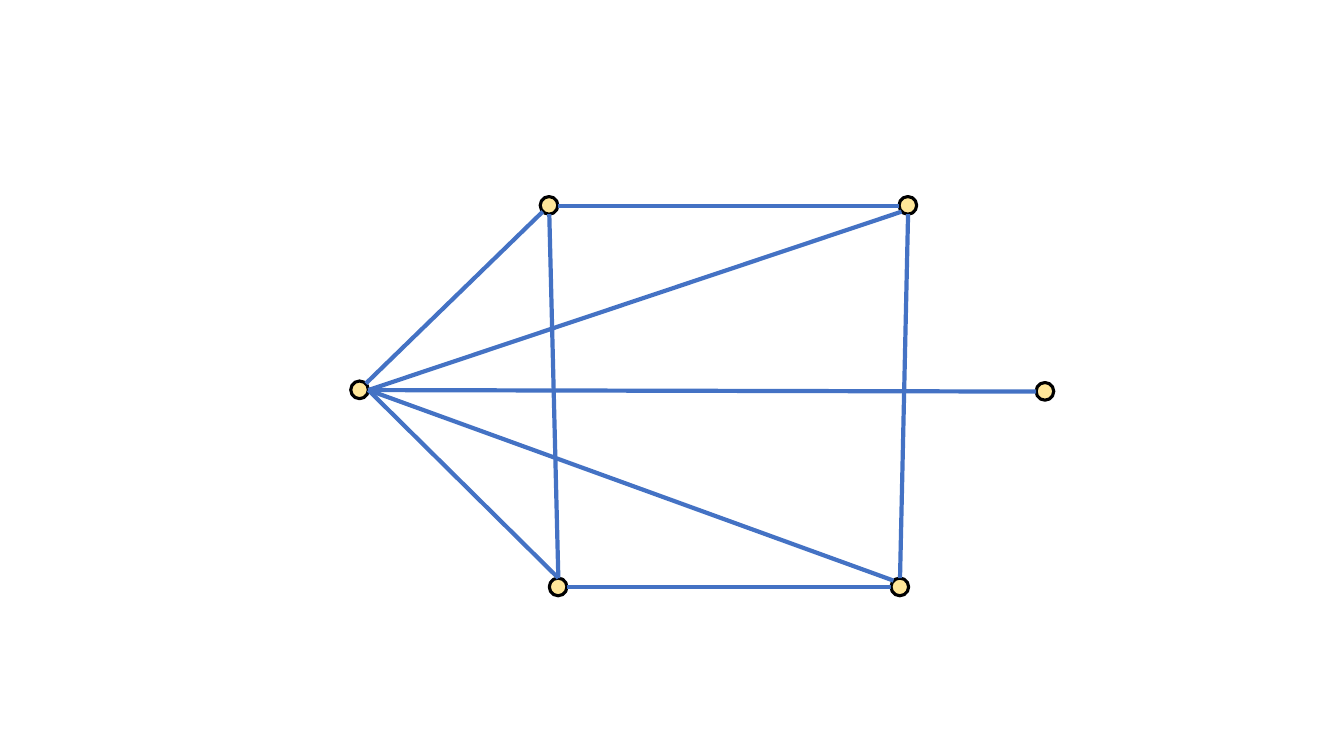
"""Draw a graph of six vertices joined by nine edges."""
import dataclasses
import enum
import typing

import pptx
import pptx.dml.color
import pptx.enum.shapes
import pptx.oxml.ns
import pptx.slide
import pptx.util
import lxml.etree

PIXEL = 4572
PAGE_SIZE = (2667, 1500)
DIAMETER = 35
VERTEX_LINE = {"width": pptx.util.Pt(2.25)}
EDGE_LINE = {"width": pptx.util.Pt(3)}


class Site(enum.Enum):
    TOP = (0.5, 0)
    TOP_LEFT = (0.15, 0.15)
    LEFT = (0, 0.5)
    BOTTOM_LEFT = (0.15, 0.85)
    BOTTOM = (0.5, 1)
    RIGHT = (1, 0.5)
    TOP_RIGHT = (0.85, 0.15)


@dataclasses.dataclass(frozen=True)
class Vertex:
    left: int
    top: int

    def point(self, site: Site) -> tuple[int, int]:
        across, down = site.value
        return (px(self.left + round(across * DIAMETER)),
                px(self.top + round(down * DIAMETER)))


@dataclasses.dataclass(frozen=True)
class Edge:
    start: Vertex
    start_site: Site
    end: Vertex
    end_site: Site


HUB = Vertex(696, 756)
LOWER_LEFT = Vertex(1090, 1147)
UPPER_LEFT = Vertex(1072, 390)
LOWER_RIGHT = Vertex(1768, 1147)
UPPER_RIGHT = Vertex(1784, 390)
TIP = Vertex(2056, 759)
VERTICES = (HUB, LOWER_LEFT, UPPER_LEFT, LOWER_RIGHT, UPPER_RIGHT, TIP)
EDGES = (
    Edge(HUB, Site.TOP_RIGHT, UPPER_LEFT, Site.BOTTOM_LEFT),
    Edge(HUB, Site.RIGHT, UPPER_RIGHT, Site.BOTTOM_LEFT),
    Edge(UPPER_LEFT, Site.RIGHT, UPPER_RIGHT, Site.LEFT),
    Edge(HUB, Site.RIGHT, LOWER_LEFT, Site.TOP),
    Edge(UPPER_LEFT, Site.BOTTOM, LOWER_LEFT, Site.TOP),
    Edge(UPPER_RIGHT, Site.BOTTOM, LOWER_RIGHT, Site.TOP),
    Edge(LOWER_LEFT, Site.RIGHT, LOWER_RIGHT, Site.LEFT),
    Edge(HUB, Site.RIGHT, LOWER_RIGHT, Site.TOP_LEFT),
    Edge(HUB, Site.RIGHT, TIP, Site.LEFT),
)


def px(length: int) -> int:
    return pptx.util.Emu(length * PIXEL)


def paint(fill: typing.Any, color: str) -> None:
    fill.solid()
    fill.fore_color.rgb = pptx.dml.color.RGBColor.from_string(color)


def apply(target: typing.Any, formats: dict[str, typing.Any]) -> None:
    for name, value in formats.items():
        setattr(target, name, value)


def draw_vertex(page: pptx.slide.Slide, vertex: Vertex) -> None:
    circle = page.shapes.add_shape(
        pptx.enum.shapes.MSO_SHAPE.OVAL,
        px(vertex.left), px(vertex.top), px(DIAMETER), px(DIAMETER))
    circle.shadow.inherit = False
    paint(circle.fill, "FFE699")
    paint(circle.line.fill, "000000")
    apply(circle.line, VERTEX_LINE)


def draw_edge(page: pptx.slide.Slide, edge: Edge) -> None:
    line = page.shapes.add_connector(
        pptx.enum.shapes.MSO_CONNECTOR.STRAIGHT,
        *edge.start.point(edge.start_site), *edge.end.point(edge.end_site))
    paint(line.line.fill, "4472C4")
    apply(line.line, EDGE_LINE)
    lxml.etree.SubElement(line._element.spPr, pptx.oxml.ns.qn("a:effectLst"))


def main() -> None:
    deck = pptx.Presentation()
    deck.slide_width, deck.slide_height = map(px, PAGE_SIZE)
    page = deck.slides.add_slide(deck.slide_layouts[6])
    for vertex in VERTICES:
        draw_vertex(page, vertex)
    for edge in EDGES:
        draw_edge(page, edge)
    deck.save("out.pptx")


if __name__ == "__main__":
    main()
